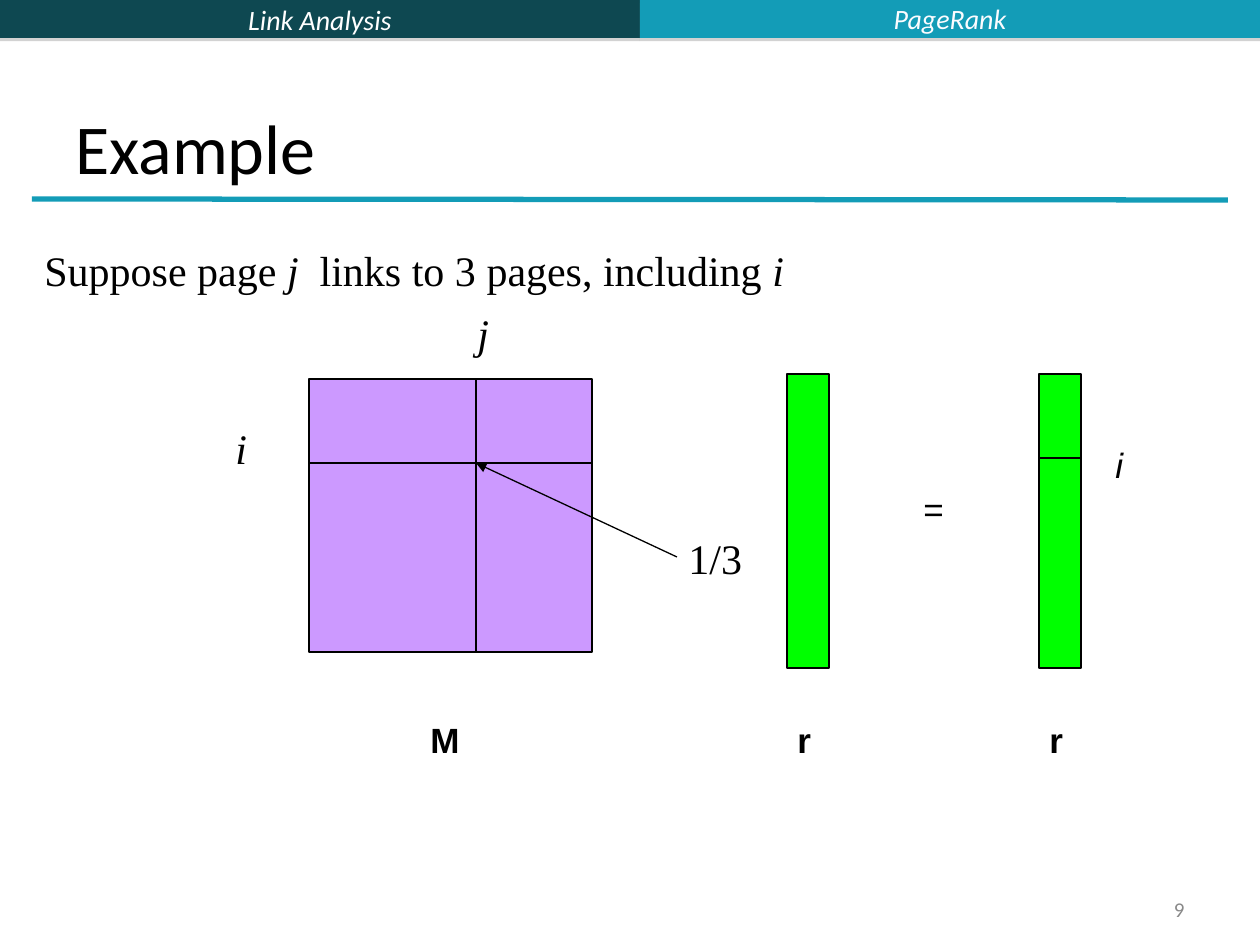
from dataclasses import dataclass

import lxml.etree
import pptx
import pptx.dml.color
import pptx.enum.shapes
import pptx.enum.text
import pptx.oxml
import pptx.oxml.ns
import pptx.util

PIXELS_PER_INCH = 126
BLACK, WHITE = "000000", "FFFFFF"
TEAL, DARK_TEAL = "139CB7", "0E4851"
PURPLE, GREEN, GREY = "CC99FF", "00FF00", "898989"
SERIF, SANS, HEADING = "Times New Roman", "Arial", "Calibri"
ALIGN = pptx.enum.text.PP_ALIGN
ANCHOR = pptx.enum.text.MSO_ANCHOR


@dataclass(frozen=True)
class Box:
    left: int
    top: int
    width: int
    height: int

    @property
    def right(self) -> int:
        return self.left + self.width

    @property
    def bottom(self) -> int:
        return self.top + self.height


@dataclass(frozen=True)
class Label:
    text: str
    box: Box
    font: str = SANS
    size: int = 20
    bold: bool = False
    italic: bool = False


def px(value: int) -> int:
    return round(value * pptx.util.Inches(1) / PIXELS_PER_INCH)


def colour(value: str):
    return pptx.dml.color.RGBColor.from_string(value)


def add_effects(shape):
    return lxml.etree.SubElement(
        shape._element.spPr, pptx.oxml.ns.qn("a:effectLst"))


def add_rectangle(slide, box: Box, fill: str, outlined: bool = True):
    shape = slide.shapes.add_shape(
        pptx.enum.shapes.MSO_SHAPE.RECTANGLE,
        px(box.left), px(box.top), px(box.width), px(box.height))
    shape.fill.solid()
    shape.fill.fore_color.rgb = colour(fill)
    if outlined:
        shape.line.color.rgb = colour(BLACK)
        shape.line.width = pptx.util.Pt(0.75)
    else:
        shape.line.fill.background()
    shape.shadow.inherit = False
    return shape


def add_header_bar(slide, box: Box, fill: str):
    shape = add_rectangle(slide, box, fill, outlined=False)
    effects = shape._element.spPr.find(pptx.oxml.ns.qn("a:effectLst"))
    effects.append(pptx.oxml.parse_xml(
        f'<a:outerShdw {pptx.oxml.ns.nsdecls("a")} blurRad="0" dist="22860" '
        'dir="5400000" rotWithShape="0"><a:srgbClr val="808080">'
        '<a:alpha val="35000"/></a:srgbClr></a:outerShdw>'))
    return shape


def add_line(slide, start: tuple[int, int], end: tuple[int, int],
             line_colour: str = BLACK, width: float = 0.75,
             arrow: bool = False):
    line = slide.shapes.add_connector(
        pptx.enum.shapes.MSO_CONNECTOR.STRAIGHT,
        *(px(value) for value in (*start, *end)))
    line.line.color.rgb = colour(line_colour)
    line.line.width = pptx.util.Pt(width)
    if arrow:
        lxml.etree.SubElement(
            line.line._get_or_add_ln(), pptx.oxml.ns.qn("a:tailEnd"),
            type="triangle")
    add_effects(line)
    return line


def write_text(shape, text: str, *, font: str, size: int,
               text_colour: str = BLACK, bold: bool = False,
               italic: bool = False, align=ALIGN.LEFT, anchor=ANCHOR.TOP,
               wrap: bool = True):
    frame = shape.text_frame
    frame.word_wrap = wrap
    if not wrap:
        frame.auto_size = pptx.enum.text.MSO_AUTO_SIZE.SHAPE_TO_FIT_TEXT
    frame.vertical_anchor = anchor
    paragraph = frame.paragraphs[0]
    paragraph.alignment = align
    run = paragraph.add_run()
    run.text = text
    run.font.name = font
    run.font.size = pptx.util.Pt(size)
    run.font.bold = bold
    run.font.italic = italic
    run.font.color.rgb = colour(text_colour)


def add_text_box(slide, box: Box):
    return slide.shapes.add_textbox(
        px(box.left), px(box.top), px(box.width), px(box.height))


def add_label(slide, label: Label):
    write_text(add_text_box(slide, label.box), label.text, font=label.font,
               size=label.size, bold=label.bold, italic=label.italic,
               wrap=False)


def add_header(slide):
    left_bar = add_header_bar(slide, Box(0, 0, 640, 38), DARK_TEAL)
    write_text(left_bar, "Link Analysis", font=HEADING, size=16, italic=True,
               text_colour=WHITE, align=ALIGN.CENTER, anchor=ANCHOR.MIDDLE)
    add_header_bar(slide, Box(640, 0, 620, 38), TEAL)
    write_text(add_text_box(slide, Box(640, -5, 620, 47)), "PageRank",
               font=HEADING, size=16, italic=True, text_colour="FBFCFF",
               align=ALIGN.CENTER, anchor=ANCHOR.MIDDLE)
    add_line(slide, (32, 199), (1228, 200), TEAL, 3)
    write_text(add_text_box(slide, Box(63, 38, 1134, 157)), "Example",
               font=HEADING, size=40, anchor=ANCHOR.BOTTOM)


def add_statement(slide):
    shape = add_text_box(slide, Box(32, 238, 765, 63))
    for text, italic in (("Suppose page ", False), ("j ", True),
                         (" links to 3 pages, including ", False),
                         ("i", True)):
        write_text(shape, text, font=SERIF, size=24, italic=italic, wrap=False)


def add_equation(slide):
    matrix = Box(309, 379, 283, 273)
    column, row = 476, 463
    add_rectangle(slide, matrix, PURPLE)
    add_line(slide, (matrix.left, row), (matrix.right, row))
    add_line(slide, (column, matrix.top), (column, matrix.bottom))

    vectors = [Box(left, 374, 42, 294) for left in (787, 1039)]
    for vector in vectors:
        add_rectangle(slide, vector, GREEN)
        add_label(slide, Label("r", Box(vector.left - 2, 712, 39, 55),
                               bold=True))
    result = vectors[-1]
    add_line(slide, (result.left, 458), (result.right, 458))

    for label in (
        Label("i", Box(223, 416, 37, 63), SERIF, 24, italic=True),
        Label("j", Box(465, 301, 37, 63), SERIF, 24, italic=True),
        Label("1/3", Box(676, 526, 82, 63), SERIF, 24),
        Label("M", Box(418, 712, 54, 55), bold=True),
        Label("=", Box(911, 481, 45, 55)),
        Label("i", Box(1103, 437, 33, 55), italic=True),
    ):
        add_label(slide, label)
    add_line(slide, (677, 557), (column, row), arrow=True)


def main():
    presentation = pptx.Presentation()
    presentation.slide_width = px(1260)
    presentation.slide_height = px(945)
    slide = presentation.slides.add_slide(presentation.slide_layouts[6])
    add_header(slide)
    add_statement(slide)
    add_equation(slide)
    write_text(add_text_box(slide, Box(903, 892, 294, 34)), "9", font=HEADING,
               size=12, text_colour=GREY, align=ALIGN.RIGHT,
               anchor=ANCHOR.MIDDLE)
    presentation.save("out.pptx")


if __name__ == "__main__":
    main()
